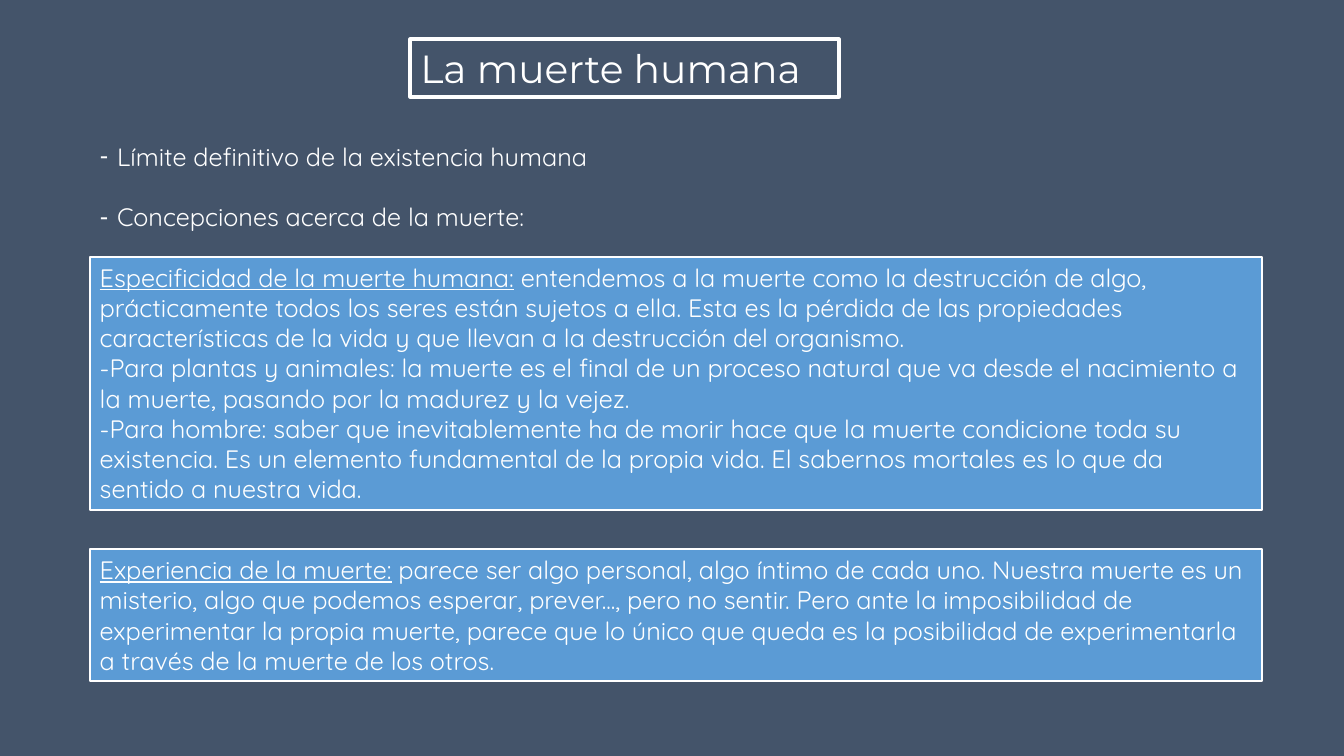
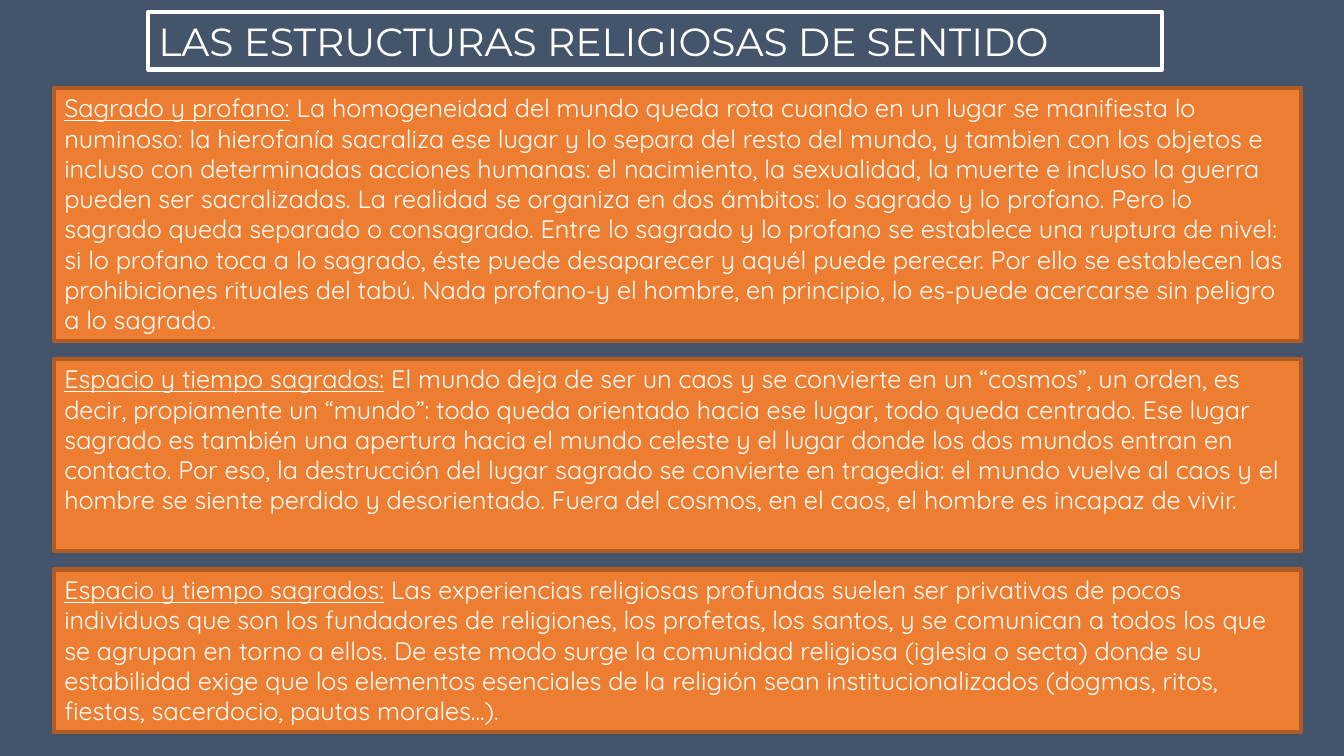
from dataclasses import dataclass

from lxml.etree import SubElement
from pptx import Presentation
from pptx.dml.color import RGBColor as Rgb
from pptx.enum.shapes import MSO_SHAPE as Shape
from pptx.enum.text import MSO_ANCHOR as Anchor, MSO_AUTO_SIZE as Fit, PP_ALIGN as Align
from pptx.oxml.ns import qn
from pptx.util import Emu, Inches, Pt

# Shared look
WIDE, HIGH = Inches(13.33), Inches(7.5)
LINE, PAD = 0.3, 0.11  # text row and box padding, inches
BACK, WHITE, BLUE, ORANGE, RUST = "44546A", "FFFFFF", "5B9BD5", "ED7D31", "AF5C24"
HEAD = {"name": "Montserrat", "size": Pt(28), "bold": False}
BODY = {"name": "Quicksand", "size": Pt(18), "bold": False}
FRAME = {"word_wrap": True, "auto_size": Fit.NONE, "vertical_anchor": Anchor.TOP}


@dataclass
class Box:
    rows: int
    term: str
    text: str
    more: tuple = ()


@dataclass
class Stack:
    """Boxes one below the other; lengths in percent of the slide."""
    left: float
    top: float
    width: float
    gap: float
    fill: str
    edge: str
    weight: float
    boxes: list


@dataclass
class Page:
    title: str
    left: float
    top: float
    width: float
    stack: Stack
    points: tuple = ()


def color(code: str) -> Rgb:
    return Rgb.from_string(code)


def across(share: float) -> Emu:
    return Emu(round(WIDE * share / 100))


def down(share: float) -> Emu:
    return Emu(round(HIGH * share / 100))


def tall(rows: int) -> Emu:
    return Inches(rows * LINE + PAD)


def put(item, values: dict) -> None:
    for key, value in values.items():
        setattr(item, key, value)


def style(font, look: dict) -> None:
    put(font, look)
    font.color.rgb = color(WHITE)


def place(shape, left: int, top: int, width: int, height: int) -> None:
    put(shape, {"left": left, "top": top, "width": width, "height": height})


def border(shape, code: str, weight: float) -> None:
    shape.line.color.rgb = color(code)
    shape.line.width = Pt(weight)


def add_title(slide, page: Page) -> None:
    title = slide.shapes.title
    place(title, across(page.left), down(page.top), across(page.width), Inches(0.57))
    border(title, WHITE, 3)
    frame = title.text_frame
    put(frame, FRAME)
    frame.text = page.title
    frame.paragraphs[0].alignment = Align.LEFT
    style(frame.paragraphs[0].font, HEAD)


def add_list(slide, points: tuple) -> None:
    body = slide.placeholders[1]
    place(body, across(6.68), down(18), across(42), Inches(1))
    frame = body.text_frame
    put(frame, FRAME)
    frame.text = "\n".join(points)
    for i, para in enumerate(frame.paragraphs):
        para.space_before = Inches(LINE if i else 0)
        props = para._p.get_or_add_pPr()
        props.set("marL", str(Inches(0.17)))
        props.set("indent", str(-Inches(0.17)))
        SubElement(props, qn("a:buChar")).set("char", "-")
        style(para.font, BODY)


def add_box(slide, stack: Stack, box: Box, top: int) -> None:
    shape = slide.shapes.add_shape(
        Shape.RECTANGLE, across(stack.left), top, across(stack.width), tall(box.rows))
    shape.shadow.inherit = False
    shape.fill.solid()
    shape.fill.fore_color.rgb = color(stack.fill)
    border(shape, stack.edge, stack.weight)
    frame = shape.text_frame
    put(frame, FRAME)
    first = frame.paragraphs[0]
    term = first.add_run()
    term.text = box.term
    term.font.underline = True
    first.add_run().text = " " + box.text
    for text in box.more:
        frame.add_paragraph().add_run().text = text
    for para in frame.paragraphs:
        para.alignment = Align.LEFT
        for run in para.runs:
            style(run.font, BODY)


def add_page(deck, page: Page) -> None:
    layout = deck.slide_layouts[1 if page.points else 5]
    slide = deck.slides.add_slide(layout)
    add_title(slide, page)
    if page.points:
        add_list(slide, page.points)
    top = down(page.stack.top)
    for box in page.stack.boxes:
        add_box(slide, page.stack, box, top)
        top += tall(box.rows) + down(page.stack.gap)


# Content
DEATH = Stack(6.68, 34, 87.22, 5.2, BLUE, WHITE, 1.5, [
    Box(8, "Especificidad de la muerte humana:",
        "entendemos a la muerte como la destrucción de algo, prácticamente todos los seres "
        "están sujetos a ella. Esta es la pérdida de las propiedades características de la "
        "vida y que llevan a la destrucción del organismo.",
        ("-Para plantas y animales: la muerte es el final de un proceso natural que va desde "
         "el nacimiento a la muerte, pasando por la madurez y la vejez.",
         "-Para hombre: saber que inevitablemente ha de morir hace que la muerte condicione "
         "toda su existencia. Es un elemento fundamental de la propia vida. El sabernos "
         "mortales es lo que da sentido a nuestra vida.")),
    Box(4, "Experiencia de la muerte:",
        "parece ser algo personal, algo íntimo de cada uno. Nuestra muerte es un misterio, "
        "algo que podemos esperar, prever..., pero no sentir. Pero ante la imposibilidad de "
        "experimentar la propia muerte, parece que lo único que queda es la posibilidad de "
        "experimentarla a través de la muerte de los otros."),
])
FAITH = Stack(4.05, 11.6, 92.78, 2.4, ORANGE, RUST, 3, [
    Box(8, "Sagrado y profano:",
        "La homogeneidad del mundo queda rota cuando en un lugar se manifiesta lo numinoso: "
        "la hierofanía sacraliza ese lugar y lo separa del resto del mundo, y tambien con los "
        "objetos e incluso con determinadas acciones humanas: el nacimiento, la sexualidad, "
        "la muerte e incluso la guerra pueden ser sacralizadas. La realidad se organiza en "
        "dos ámbitos: lo sagrado y lo profano. Pero lo sagrado queda separado o consagrado. "
        "Entre lo sagrado y lo profano se establece una ruptura de nivel: si lo profano toca "
        "a lo sagrado, éste puede desaparecer y aquél puede perecer. Por ello se establecen "
        "las prohibiciones rituales del tabú. Nada profano-y el hombre, en principio, lo "
        "es-puede acercarse sin peligro a lo sagrado."),
    Box(6, "Espacio y tiempo sagrados:",
        "El mundo deja de ser un caos y se convierte en un “cosmos”, un orden, es decir, "
        "propiamente un “mundo”: todo queda orientado hacia ese lugar, todo queda centrado. "
        "Ese lugar sagrado es también una apertura hacia el mundo celeste y el lugar donde "
        "los dos mundos entran en contacto. Por eso, la destrucción del lugar sagrado se "
        "convierte en tragedia: el mundo vuelve al caos y el hombre se siente perdido y "
        "desorientado. Fuera del cosmos, en el caos, el hombre es incapaz de vivir."),
    Box(5, "Espacio y tiempo sagrados:",
        "Las experiencias religiosas profundas suelen ser privativas de pocos individuos que "
        "son los fundadores de religiones, los profetas, los santos, y se comunican a todos "
        "los que se agrupan en torno a ellos. De este modo surge la comunidad religiosa "
        "(iglesia o secta) donde su estabilidad exige que los elementos esenciales de la "
        "religión sean institucionalizados (dogmas, ritos, fiestas, sacerdocio, pautas "
        "morales...)."),
])
PAGES = [
    Page("La muerte humana", 30.53, 5.2, 31.88, DEATH,
         ("Límite definitivo de la existencia humana", "Concepciones acerca de la muerte:")),
    Page("LAS ESTRUCTURAS RELIGIOSAS DE SENTIDO", 11.03, 1.6, 75.45, FAITH),
]


def main() -> None:
    deck = Presentation()
    deck.slide_width, deck.slide_height = WIDE, HIGH
    fill = deck.slide_master.background.fill
    fill.solid()
    fill.fore_color.rgb = color(BACK)
    for page in PAGES:
        add_page(deck, page)
    deck.save("out.pptx")


if __name__ == "__main__":
    main()
